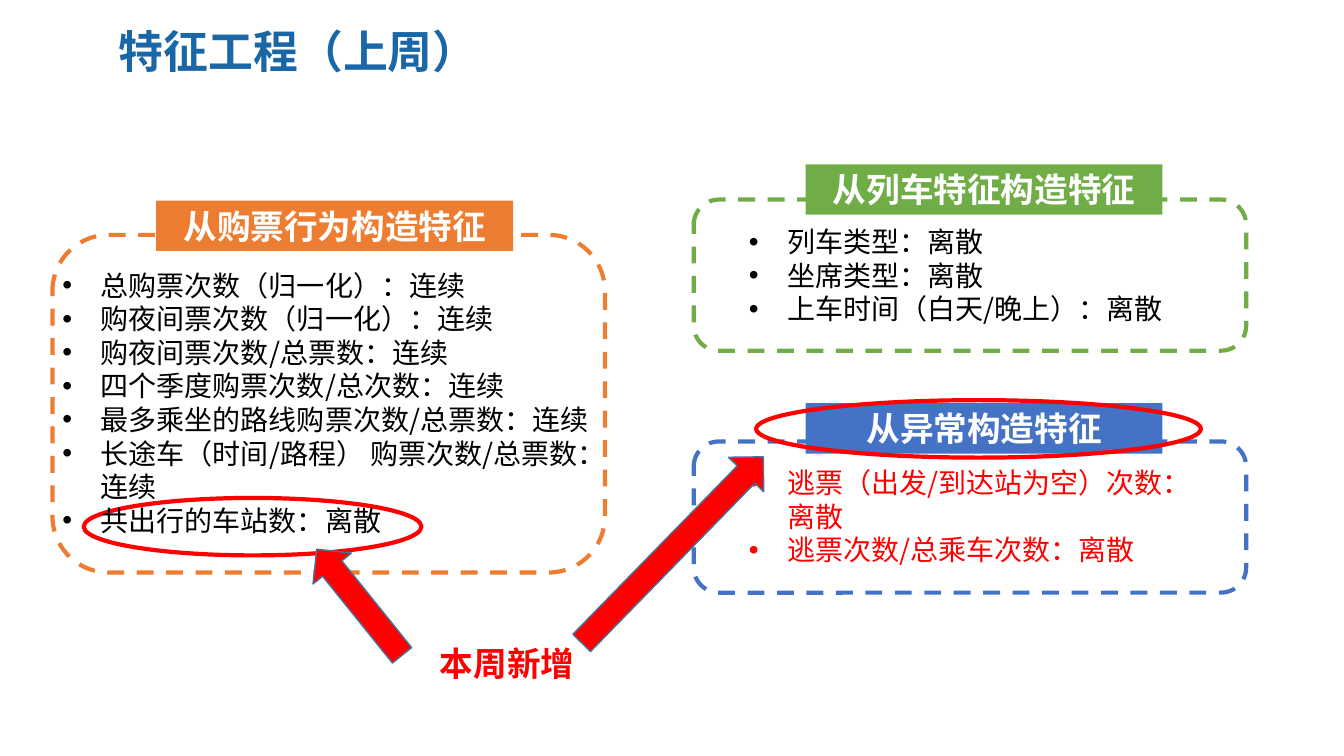
import pptx
import pptx.dml.color
import pptx.enum.dml
import pptx.enum.shapes
import pptx.enum.text
import pptx.oxml.ns
import pptx.util
from lxml import etree

PX = 9144  # 100 px to the inch
FONT = "Noto Sans CJK SC"
COLORS = {
    "title": "1967A7",
    "ticket": "ED7D31",
    "train": "70AD47",
    "anomaly": "4472C4",
    "new": "FF0000",
    "arrow_edge": "43739E",
    "text": "000000",
    "white": "FFFFFF",
}
SHAPE = pptx.enum.shapes.MSO_SHAPE
ALIGN = pptx.enum.text.PP_ALIGN
FIT = pptx.enum.text.MSO_AUTO_SIZE


def rgb(name):
    return pptx.dml.color.RGBColor.from_string(COLORS[name])


class FeatureSlide:
    def __init__(self, deck):
        self.slide = deck.slides.add_slide(deck.slide_layouts[5])
        self.shapes = self.slide.shapes

    def set_text(self, frame, lines, size, color, bold=False, align=ALIGN.LEFT):
        frame.word_wrap = True
        frame.text = "\n".join(lines)
        for paragraph in frame.paragraphs:
            paragraph.alignment = align
            for run in paragraph.runs:
                run.font.size = pptx.util.Pt(size)
                run.font.bold = bold
                run.font.color.rgb = rgb(color)
                run.font.name = FONT
                east_asian = etree.SubElement(
                    run._r.get_or_add_rPr(), pptx.oxml.ns.qn("a:ea"))
                east_asian.set("typeface", FONT)

    def title(self, text, box):
        heading = self.shapes.title
        heading.left, heading.top, heading.width, heading.height = (v * PX for v in box)
        frame = heading.text_frame
        self.set_text(frame, [text], 32, "title", bold=True)
        frame.auto_size = FIT.NONE
        frame.vertical_anchor = pptx.enum.text.MSO_ANCHOR.MIDDLE
        frame.paragraphs[0].line_spacing = 0.9

    def shape(self, kind, box, fill=None, line=None, width=3, dashed=False, angle=0):
        item = self.shapes.add_shape(kind, *(v * PX for v in box))
        item.shadow.inherit = False
        item.rotation = angle
        if fill:
            item.fill.solid()
            item.fill.fore_color.rgb = rgb(fill)
        else:
            item.fill.background()
        if line:
            item.line.color.rgb = rgb(line)
            item.line.width = pptx.util.Pt(width)
            if dashed:
                item.line.dash_style = pptx.enum.dml.MSO_LINE.DASH
        else:
            item.line.fill.background()
        return item

    def frame(self, box, color):
        self.shape(SHAPE.ROUNDED_RECTANGLE, box, line=color, dashed=True)

    def ring(self, box):
        self.shape(SHAPE.OVAL, box, line="new")

    def arrow(self, box, angle):
        self.shape(SHAPE.RIGHT_ARROW, box, "new", "arrow_edge", 1, angle=angle)

    def header(self, text, left, top, color):
        banner = self.shape(SHAPE.RECTANGLE, (left, top, 354, 50), fill=color)
        self.set_text(banner.text_frame, [text], 24, "white", True, ALIGN.CENTER)
        banner.text_frame.auto_size = FIT.SHAPE_TO_FIT_TEXT

    def text(self, lines, box, size, color, **style):
        label = self.shapes.add_textbox(*(v * PX for v in box))
        self.set_text(label.text_frame, lines, size, color, **style)
        label.text_frame.auto_size = FIT.SHAPE_TO_FIT_TEXT
        return label

    def bullets(self, lines, box, color="text"):
        for paragraph in self.text(lines, box, 20, color).text_frame.paragraphs:
            properties = paragraph._p.get_or_add_pPr()
            properties.set("marL", str(38 * PX))
            properties.set("indent", str(-38 * PX))
            font = etree.SubElement(properties, pptx.oxml.ns.qn("a:buFont"))
            font.set("typeface", "Arial")
            bullet = etree.SubElement(properties, pptx.oxml.ns.qn("a:buChar"))
            bullet.set("char", "•")


def main():
    deck = pptx.Presentation()
    deck.slide_width, deck.slide_height = 1333 * PX, 750 * PX
    page = FeatureSlide(deck)
    page.title("特征工程（上周）", (108, 0, 1134, 108))

    # Dashed frames, with the ring on the new ticket feature
    page.frame((52, 233, 548, 335), "ticket")
    page.ring((83, 494, 335, 57))
    page.frame((688, 438, 548, 150), "anomaly")
    page.frame((688, 198, 548, 150), "train")

    # Feature lists
    page.bullets([
        "总购票次数（归一化）：连续",
        "购夜间票次数（归一化）：连续",
        "购夜间票次数/总票数：连续",
        "四个季度购票次数/总次数：连续",
        "最多乘坐的路线购票次数/总票数：连续",
        "长途车（时间/路程） 购票次数/总票数：连续",
        "共出行的车站数：离散",
    ], (52, 261, 560, 279))
    page.bullets([
        "列车类型：离散",
        "坐席类型：离散",
        "上车时间（白天/晚上）：离散",
    ], (733, 218, 459, 111))
    page.bullets([
        "逃票（出发/到达站为空）次数：离散",
        "逃票次数/总乘车次数：离散",
    ], (733, 457, 459, 111), "new")

    # Group headers
    page.header("从购票行为构造特征", 155, 199, "ticket")
    page.header("从列车特征构造特征", 799, 163, "train")
    page.header("从异常构造特征", 799, 400, "anomaly")

    # This week's additions
    page.ring((750, 397, 441, 57))
    page.arrow((289, 573, 135, 49), 231.2)
    page.arrow((538, 521, 258, 49), 314.3)
    page.text(["本周新增"], (294, 633, 418, 50), 24, "new", bold=True, align=ALIGN.CENTER)

    deck.save("out.pptx")


if __name__ == "__main__":
    main()
